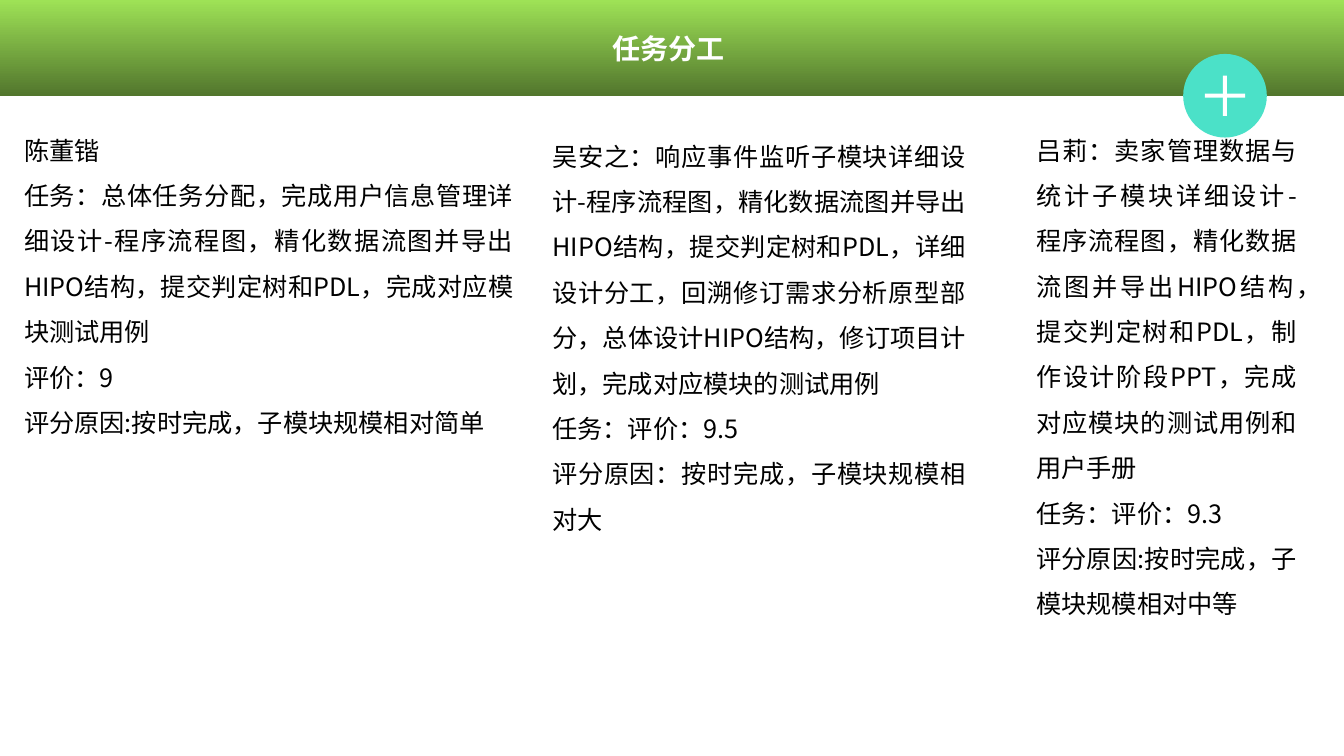
"""Build the task assignment slide with three member columns."""
from dataclasses import dataclass

from lxml.etree import SubElement
from pptx import Presentation
from pptx.dml.color import RGBColor
from pptx.enum.shapes import MSO_SHAPE
from pptx.enum.text import MSO_ANCHOR, MSO_AUTO_SIZE, PP_ALIGN
from pptx.oxml.ns import qn
from pptx.util import Pt

TITLE = "任务分工 "
MEMBERS = [
    ((14, 114, 505, 328), [
        "陈董锴",
        "任务：总体任务分配，完成用户信息管理详细设计-程序流程图，精化数据流图并导出HIPO结构，"
        "提交判定树和PDL，完成对应模块测试用例",
        "评价：9",
        "评分原因:按时完成，子模块规模相对简单",
    ]),
    ((538, 120, 430, 419), [
        "吴安之：响应事件监听子模块详细设计-程序流程图，精化数据流图并导出HIPO结构，"
        "提交判定树和PDL，详细设计分工，回溯修订需求分析原型部分，总体设计HIPO结构，"
        "修订项目计划，完成对应模块的测试用例",
        "任务：评价：9.5",
        "评分原因：按时完成，子模块规模相对大",
    ]),
    ((1018, 114, 278, 510), [
        "吕莉：卖家管理数据与统计子模块详细设计-程序流程图，精化数据流图并导出HIPO结构，"
        "提交判定树和PDL，制作设计阶段PPT，完成对应模块的测试用例和用户手册",
        "任务：评价：9.3",
        "评分原因:按时完成，子模块规模相对中等",
    ]),
]
SLIDE_W, SLIDE_H, HEADER_H = 1333, 750, 95
BADGE_CENTER_X, BADGE_SIZE = 1215, 83
BAR_LENGTH, BAR_WIDTH = 40, 4
EMU_PER_PX = 9144


@dataclass(frozen=True)
class Theme:
    """Colours, fonts and type sizes."""
    header_top: str = "9EE256"
    header_bottom: str = "52762D"
    badge: str = "4BE1C8"
    light: str = "FFFFFF"
    ink: str = "000000"
    title_font: str = "Open Sans"
    body_font: str = "Noto Sans CJK SC"
    title_size: int = 20
    body_size: int = 18
    line_spacing: float = 1.5


THEME = Theme()


def px(*values):
    """Turn px lengths into EMU."""
    return [round(v * EMU_PER_PX) for v in values]


def add_block(shapes, kind, box, color=None):
    """Add a borderless preset shape, solid when a colour is given."""
    sp = shapes.add_shape(kind, *px(*box))
    sp.shadow.inherit = False
    sp.line.fill.background()
    if color:
        sp.fill.solid()
        sp.fill.fore_color.rgb = RGBColor.from_string(color)
    return sp


def style(p, font, size, color, align, bold=False):
    """Format a paragraph and its runs."""
    p.alignment = align
    for r in p.runs:
        r.font.size = Pt(size)
        r.font.bold = bold
        r.font.color.rgb = RGBColor.from_string(color)
        r.font.name = font
        SubElement(r.font._element, qn("a:ea"), typeface=THEME.body_font)


def add_header(slide):
    """Add the gradient title band."""
    sp = add_block(slide.shapes, MSO_SHAPE.RECTANGLE, (0, 0, SLIDE_W, HEADER_H))
    sp.fill.gradient()
    sp.fill.gradient_angle = 270
    for stop, color in zip(sp.fill.gradient_stops, (THEME.header_top, THEME.header_bottom)):
        stop.color.rgb = RGBColor.from_string(color)
    tf = sp.text_frame
    tf.text = TITLE
    tf.vertical_anchor = MSO_ANCHOR.MIDDLE
    style(tf.paragraphs[0], THEME.title_font, THEME.title_size, THEME.light, PP_ALIGN.CENTER, True)


def add_badge(slide):
    """Add the round plus badge centred on the header's lower edge."""
    shapes = slide.shapes.add_group_shape().shapes

    def centered(w, h):
        return BADGE_CENTER_X - w / 2, HEADER_H - h / 2, w, h

    add_block(shapes, MSO_SHAPE.OVAL, centered(BADGE_SIZE, BADGE_SIZE), THEME.badge)
    for angle in (0, 270):
        bar = add_block(shapes, MSO_SHAPE.RECTANGLE, centered(BAR_LENGTH, BAR_WIDTH), THEME.light)
        bar.rotation = angle


def add_member(slide, box, lines):
    """Add one member's text column."""
    tf = slide.shapes.add_textbox(*px(*box)).text_frame
    tf.word_wrap = True
    tf.auto_size = MSO_AUTO_SIZE.SHAPE_TO_FIT_TEXT
    tf.text = "\n".join(lines)
    for p in tf.paragraphs:
        p.line_spacing = THEME.line_spacing
        style(p, THEME.body_font, THEME.body_size, THEME.ink, PP_ALIGN.JUSTIFY)


def main():
    """Build and save the slide."""
    prs = Presentation()
    prs.slide_width, prs.slide_height = px(SLIDE_W, SLIDE_H)
    slide = prs.slides.add_slide(prs.slide_layouts[6])
    add_header(slide)
    add_badge(slide)
    for box, lines in MEMBERS:
        add_member(slide, box, lines)
    prs.save("out.pptx")


if __name__ == "__main__":
    main()
